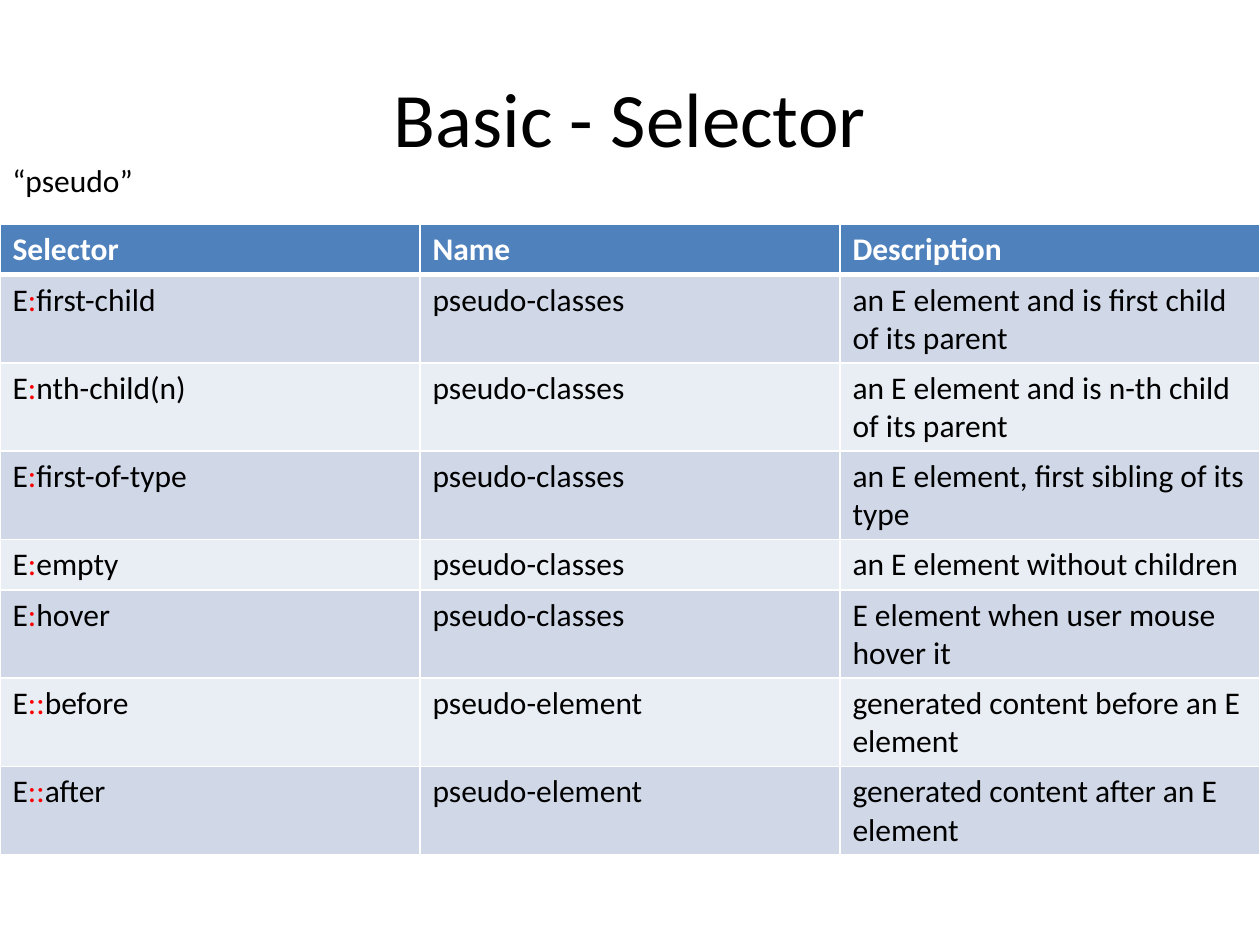
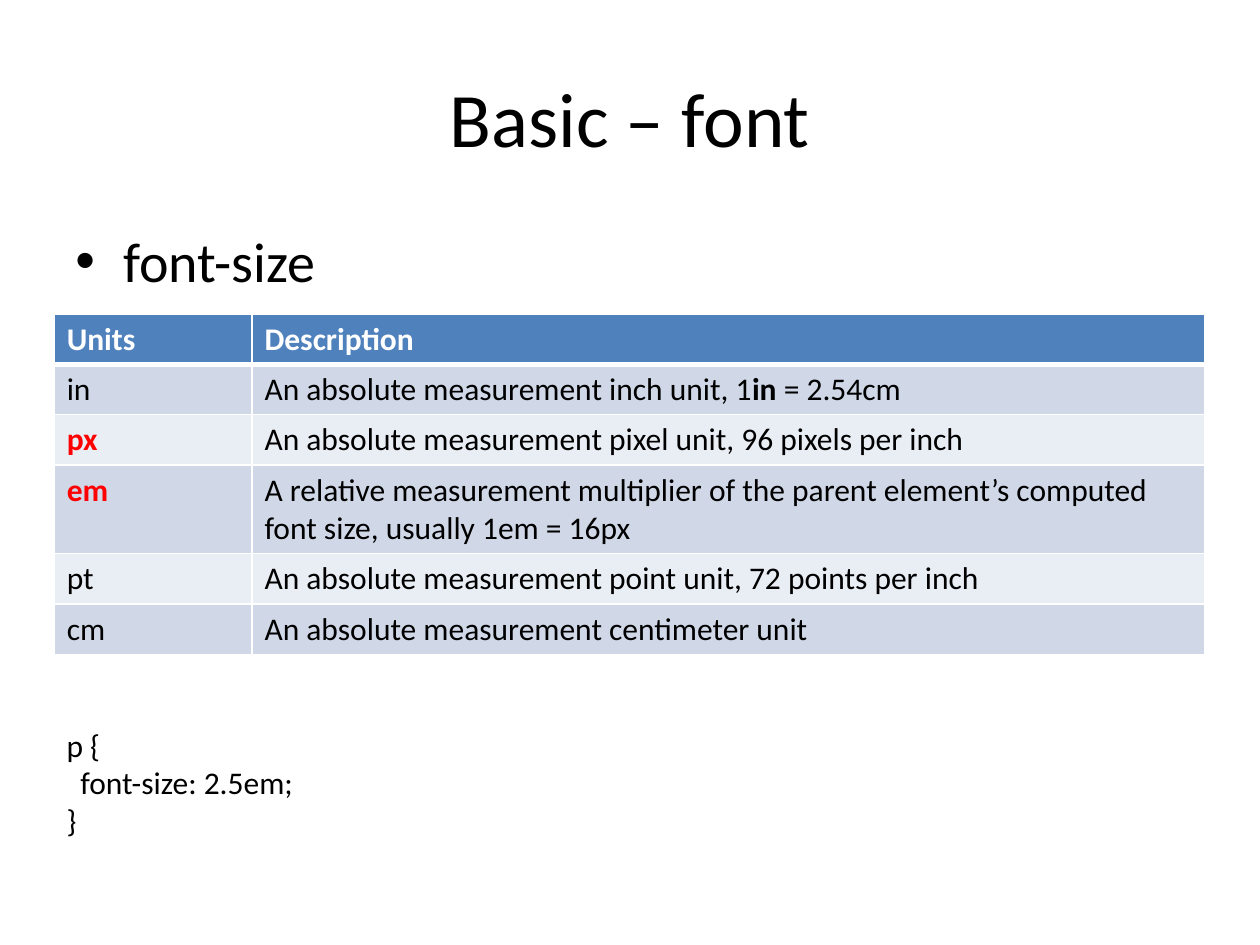
import dataclasses

import lxml.etree
import pptx
import pptx.dml.color
import pptx.enum.text
import pptx.oxml.ns
import pptx.util

Inches = pptx.util.Inches
Pt = pptx.util.Pt
qn = pptx.oxml.ns.qn


@dataclasses.dataclass(frozen=True)
class Theme:
    font: str = "Calibri"
    title_size: float = 44
    bullet_size: float = 32
    text_size: float = 18
    text: str = "000000"
    accent: str = "FF0000"
    white: str = "FFFFFF"
    header: str = "4F81BD"
    bands: tuple = ("D0D8E8", "E9EDF4")
    thin: float = 1
    thick: float = 3
    one_line: float = 0.4
    two_lines: float = 0.7


THEME = Theme()
RED = {"color": THEME.accent}
BOLD = {"bold": True}
RED_BOLD = {**RED, **BOLD}


def rgb(color):
    return pptx.dml.color.RGBColor.from_string(color)


def add_run(p, text, size=THEME.text_size, color=THEME.text, bold=False):
    r = p.add_run()
    r.text = text
    r.font.name = THEME.font
    r.font.size = Pt(size)
    r.font.bold = bold
    r.font.color.rgb = rgb(color)


def add_text(s, box, lines, size=THEME.text_size, wrap=True):
    tf = s.shapes.add_textbox(*map(Inches, box)).text_frame
    tf.word_wrap = wrap
    for i, line in enumerate(lines):
        p = tf.add_paragraph() if i else tf.paragraphs[0]
        add_run(p, line, size)
    return tf


def indent(p, left, first=0):
    pPr = p._p.get_or_add_pPr()
    pPr.set("marL", str(Inches(left)))
    pPr.set("indent", str(Inches(first)))
    return pPr


def add_title(s, text):
    tf = add_text(s, (0.5, 0.3, 9, 1.25), [text], THEME.title_size)
    tf.vertical_anchor = pptx.enum.text.MSO_ANCHOR.MIDDLE
    tf.paragraphs[0].alignment = pptx.enum.text.PP_ALIGN.CENTER


def add_bullet(s, box, text):
    p = add_text(s, box, [text], THEME.bullet_size).paragraphs[0]
    p.space_before = Pt(0.2 * THEME.bullet_size)
    pPr = indent(p, 0.38, -0.38)
    lxml.etree.SubElement(pPr, qn("a:buFont"), typeface="Arial")
    lxml.etree.SubElement(pPr, qn("a:buChar"), char="•")


def set_borders(cell, top, bottom):
    tcPr = cell._tc.get_or_add_tcPr()
    widths = {"L": THEME.thin, "R": THEME.thin, "T": top, "B": bottom}
    for i, (side, width) in enumerate(widths.items()):
        ln = lxml.etree.Element(qn(f"a:ln{side}"), w=str(Pt(width)))
        fill = lxml.etree.SubElement(ln, qn("a:solidFill"))
        lxml.etree.SubElement(fill, qn("a:srgbClr"), val=THEME.white)
        tcPr.insert(i, ln)


def fill_cell(cell, content, row):
    cell.fill.solid()
    color = THEME.bands[(row - 1) % 2] if row else THEME.header
    cell.fill.fore_color.rgb = rgb(color)
    set_borders(cell,
                top=THEME.thick if row == 1 else THEME.thin,
                bottom=THEME.thin if row else THEME.thick)
    base = {} if row else {"color": THEME.white, "bold": True}
    runs = [(content, {})] if isinstance(content, str) else content
    for text, style in runs:
        add_run(cell.text_frame.paragraphs[0], text, **{**base, **style})


def add_grid(s, left, top, widths, rows, tall_rows):
    heights = [THEME.two_lines if i in tall_rows else THEME.one_line
               for i in range(len(rows))]
    box = map(Inches, (left, top, sum(widths), sum(heights)))
    table = s.shapes.add_table(len(rows), len(widths), *box).table
    for column, width in zip(table.columns, widths):
        column.width = Inches(width)
    for i, (row, height) in enumerate(zip(rows, heights)):
        table.rows[i].height = Inches(height)
        for j, content in enumerate(row):
            fill_cell(table.cell(i, j), content, i)


def add_selector_slide(prs):
    s = prs.slides.add_slide(prs.slide_layouts[6])
    add_title(s, "Basic - Selector")
    selectors = [
        (":", "first-child", "an E element and is first child of its parent"),
        (":", "nth-child(n)", "an E element and is n-th child of its parent"),
        (":", "first-of-type", "an E element, first sibling of its type"),
        (":", "empty", "an E element without children"),
        (":", "hover", "E element when user mouse hover it"),
        ("::", "before", "generated content before an E element"),
        ("::", "after", "generated content after an E element"),
    ]
    kinds = {":": "pseudo-classes", "::": "pseudo-element"}
    rows = [("Selector", "Name", "Description")]
    for mark, name, description in selectors:
        selector = [("E", {}), (mark, RED), (name, {})]
        rows.append((selector, kinds[mark], description))
    add_grid(s, 0, 1.78, [10 / 3] * 3, rows, tall_rows={1, 2, 3, 5, 6, 7})
    add_text(s, (0, 1.23, 1.16, 0.4), ["“pseudo”"], wrap=False)


def add_font_slide(prs):
    s = prs.slides.add_slide(prs.slide_layouts[6])
    add_title(s, "Basic – font")
    add_bullet(s, (0.5, 1.75, 9, 0.98), "font-size")
    inch = [("An absolute measurement inch unit, 1", {}),
            ("in", BOLD), (" = 2.54cm", {})]
    rows = [
        ("Units", "Description"),
        ("in", inch),
        ([("px", RED_BOLD)],
         "An absolute measurement pixel unit, 96 pixels per inch"),
        ([("em", RED_BOLD)],
         "A relative measurement multiplier of the parent element’s "
         "computed font size, usually 1em = 16px"),
        ("pt", "An absolute measurement point unit, 72 points per inch"),
        ("cm", "An absolute measurement centimeter unit"),
    ]
    add_grid(s, 0.43, 2.49, [1.57, 7.56], rows, tall_rows={3})
    tf = add_text(s, (0.43, 5.71, 5, 1.01),
                  ["p {", "font-size: 2.5em;", "}"])
    indent(tf.paragraphs[1], 0.11)


def main():
    prs = pptx.Presentation()
    prs.slide_width = Inches(10)
    prs.slide_height = Inches(7.5)
    add_selector_slide(prs)
    add_font_slide(prs)
    prs.save("out.pptx")


if __name__ == "__main__":
    main()
